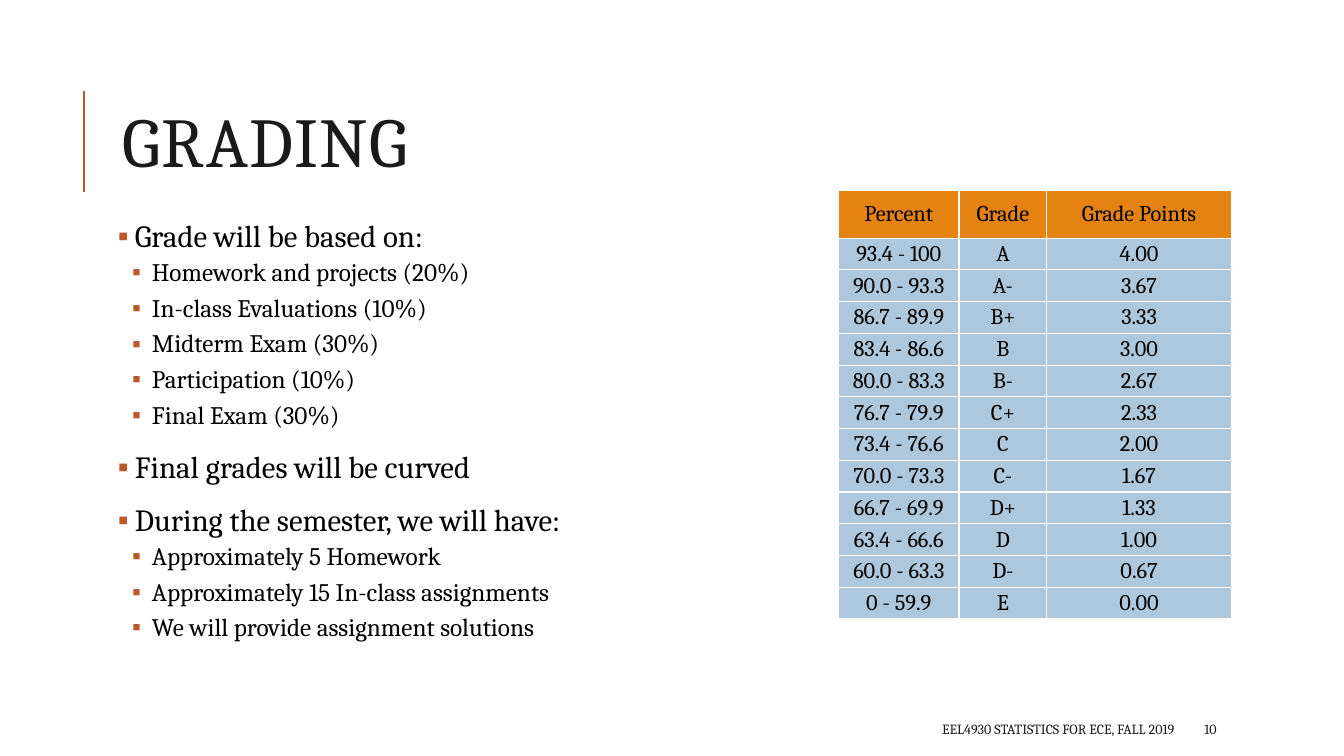
"""Build the grading slide of a statistics course."""
from dataclasses import dataclass

from lxml.etree import SubElement
from pptx import Presentation
from pptx.dml.color import RGBColor
from pptx.enum.shapes import MSO_CONNECTOR
from pptx.enum.text import MSO_ANCHOR, MSO_AUTO_SIZE, PP_ALIGN
from pptx.oxml.ns import qn
from pptx.util import Cm, Pt

FONT = "Cambria"
COLORS = {
    "accent": "BD582C",
    "heading": "1A1A1A",
    "text": "000000",
    "header": "E48312",
    "row": "ADC8DD",
    "border": "FFFFFF",
}


@dataclass(frozen=True)
class Level:
    margin: float
    hanging: float
    size: int
    before: int
    after: int


@dataclass(frozen=True)
class Item:
    text: str
    level: int = 1


@dataclass(frozen=True)
class Footer:
    text: str
    left: float
    width: float
    align: PP_ALIGN


LEVELS = (Level(0.43, 0.43, 22, 12, 2), Level(0.86, 0.5, 18, 2, 4))
ITEMS = (
    Item("Grade will be based on:", 0),
    Item("Homework and projects (20%)"),
    Item("In-class Evaluations (10%)"),
    Item("Midterm Exam (30%)"),
    Item("Participation (10%)"),
    Item("Final Exam (30%)"),
    Item("Final grades will be curved", 0),
    Item("During the semester, we will have:", 0),
    Item("Approximately 5 Homework"),
    Item("Approximately 15 In-class assignments"),
    Item("We will provide assignment solutions"),
)
FOOTERS = (
    Footer("EEL4930 STATISTICS FOR ECE, FALL 2019", 13.46, 16.38, PP_ALIGN.RIGHT),
    Footer("10", 30.1, 2.7, PP_ALIGN.LEFT),
)
GRADES = (
    ("Percent", "Grade", "Grade Points"),
    ("93.4 - 100", "A", "4.00"),
    ("90.0 - 93.3", "A-", "3.67"),
    ("86.7 - 89.9", "B+", "3.33"),
    ("83.4 - 86.6", "B", "3.00"),
    ("80.0 - 83.3", "B-", "2.67"),
    ("76.7 - 79.9", "C+", "2.33"),
    ("73.4 - 76.6", "C", "2.00"),
    ("70.0 - 73.3", "C-", "1.67"),
    ("66.7 - 69.9", "D+", "1.33"),
    ("63.4 - 66.6", "D", "1.00"),
    ("60.0 - 63.3", "D-", "0.67"),
    ("0 - 59.9", "E", "0.00"),
)
COLUMN_WIDTHS = (3.04, 2.21, 4.65)
HEADER_HEIGHT, ROW_HEIGHT = 1.2, 0.8


def color(name: str) -> RGBColor:
    """Return a named colour."""
    return RGBColor.from_string(COLORS[name])


def style(paragraph, size: int, name: str, align: PP_ALIGN = PP_ALIGN.LEFT) -> None:
    """Set the font and alignment of a paragraph."""
    paragraph.alignment = align
    paragraph.font.name = FONT
    paragraph.font.size = Pt(size)
    paragraph.font.color.rgb = color(name)


def place(shape, left: float, top: float, width: float, height: float) -> None:
    """Move and size a shape in centimetres."""
    shape.left, shape.top = Cm(left), Cm(top)
    shape.width, shape.height = Cm(width), Cm(height)


def draw_title(page) -> None:
    """Fill the title and draw the line beside it."""
    rule = page.shapes.add_connector(
        MSO_CONNECTOR.STRAIGHT, Cm(2.11), Cm(4.83), Cm(2.11), Cm(2.29)
    )
    rule.line.color.rgb = color("accent")
    rule.line.width = Pt(1.5)
    SubElement(rule._element.spPr, qn("a:effectLst"))
    title = page.shapes.title
    place(title, 2.84, 1.63, 27, 4.17)
    frame = title.text_frame
    frame.text = "GRADING"
    frame.auto_size = MSO_AUTO_SIZE.NONE
    frame.vertical_anchor = MSO_ANCHOR.MIDDLE
    paragraph = frame.paragraphs[0]
    paragraph.line_spacing = 0.8
    style(paragraph, 50, "heading")
    paragraph._p.pPr.find(qn("a:defRPr")).set("spc", "100")


def add_bullet(paragraph, level: Level) -> None:
    """Give a paragraph a coloured square bullet and a hanging indent."""
    properties = paragraph._p.get_or_add_pPr()
    properties.set("marL", str(Cm(level.margin)))
    properties.set("indent", str(-Cm(level.hanging)))
    tint = SubElement(properties, qn("a:buClr"))
    SubElement(tint, qn("a:srgbClr"), val=COLORS["accent"])
    SubElement(properties, qn("a:buChar"), char="▪")


def draw_list(body) -> None:
    """Fill the body with the two-level list."""
    place(body, 2.84, 5.44, 27, 12.09)
    frame = body.text_frame
    frame.auto_size = MSO_AUTO_SIZE.NONE
    frame.vertical_anchor = MSO_ANCHOR.TOP
    frame.margin_left = frame.margin_right = Cm(0.13)
    frame.margin_top = frame.margin_bottom = Cm(0.13)
    for index, item in enumerate(ITEMS):
        paragraph = frame.add_paragraph() if index else frame.paragraphs[0]
        level = LEVELS[item.level]
        paragraph.text = item.text
        paragraph.level = item.level
        add_bullet(paragraph, level)
        paragraph.line_spacing = 0.9
        paragraph.space_before = Pt(level.before if index else 0)
        paragraph.space_after = Pt(level.after)
        style(paragraph, level.size, "text")


def draw_cell(cell, text: str, fill: str) -> None:
    """Fill one table cell and border it."""
    cell.text = text
    cell.vertical_anchor = MSO_ANCHOR.MIDDLE
    cell.margin_left = cell.margin_right = Cm(0.18)
    cell.margin_top = cell.margin_bottom = 0
    style(cell.text_frame.paragraphs[0], 16, "text", PP_ALIGN.CENTER)
    properties = cell._tc.get_or_add_tcPr()
    for side in ("a:lnL", "a:lnR", "a:lnT", "a:lnB"):
        border = SubElement(properties, qn(side), w=str(Pt(1)))
        paint = SubElement(border, qn("a:solidFill"))
        SubElement(paint, qn("a:srgbClr"), val=COLORS["border"])
    cell.fill.solid()
    cell.fill.fore_color.rgb = color(fill)


def draw_grades(page) -> None:
    """Draw the table of grades."""
    height = HEADER_HEIGHT + ROW_HEIGHT * (len(GRADES) - 1)
    table = page.shapes.add_table(
        len(GRADES), len(COLUMN_WIDTHS),
        Cm(21.13), Cm(4.8), Cm(sum(COLUMN_WIDTHS)), Cm(height),
    ).table
    table.first_row = table.horz_banding = False
    for column, width in zip(table.columns, COLUMN_WIDTHS):
        column.width = Cm(width)
    for index, (row, texts) in enumerate(zip(table.rows, GRADES)):
        row.height = Cm(ROW_HEIGHT if index else HEADER_HEIGHT)
        for cell, text in zip(row.cells, texts):
            draw_cell(cell, text, "row" if index else "header")


def draw_footer(page, footer: Footer) -> None:
    """Draw one text of the footer."""
    box = page.shapes.add_textbox(Cm(footer.left), Cm(17.98), Cm(footer.width), Cm(0.76))
    frame = box.text_frame
    frame.word_wrap = True
    frame.vertical_anchor = MSO_ANCHOR.MIDDLE
    frame.text = footer.text
    style(frame.paragraphs[0], 10, "heading", footer.align)


def main() -> None:
    """Build and save the deck."""
    deck = Presentation()
    deck.slide_width, deck.slide_height = Cm(33.87), Cm(19.05)
    page = deck.slides.add_slide(deck.slide_layouts[1])
    draw_title(page)
    draw_list(page.placeholders[1])
    draw_grades(page)
    for footer in FOOTERS:
        draw_footer(page, footer)
    deck.save("out.pptx")


if __name__ == "__main__":
    main()
